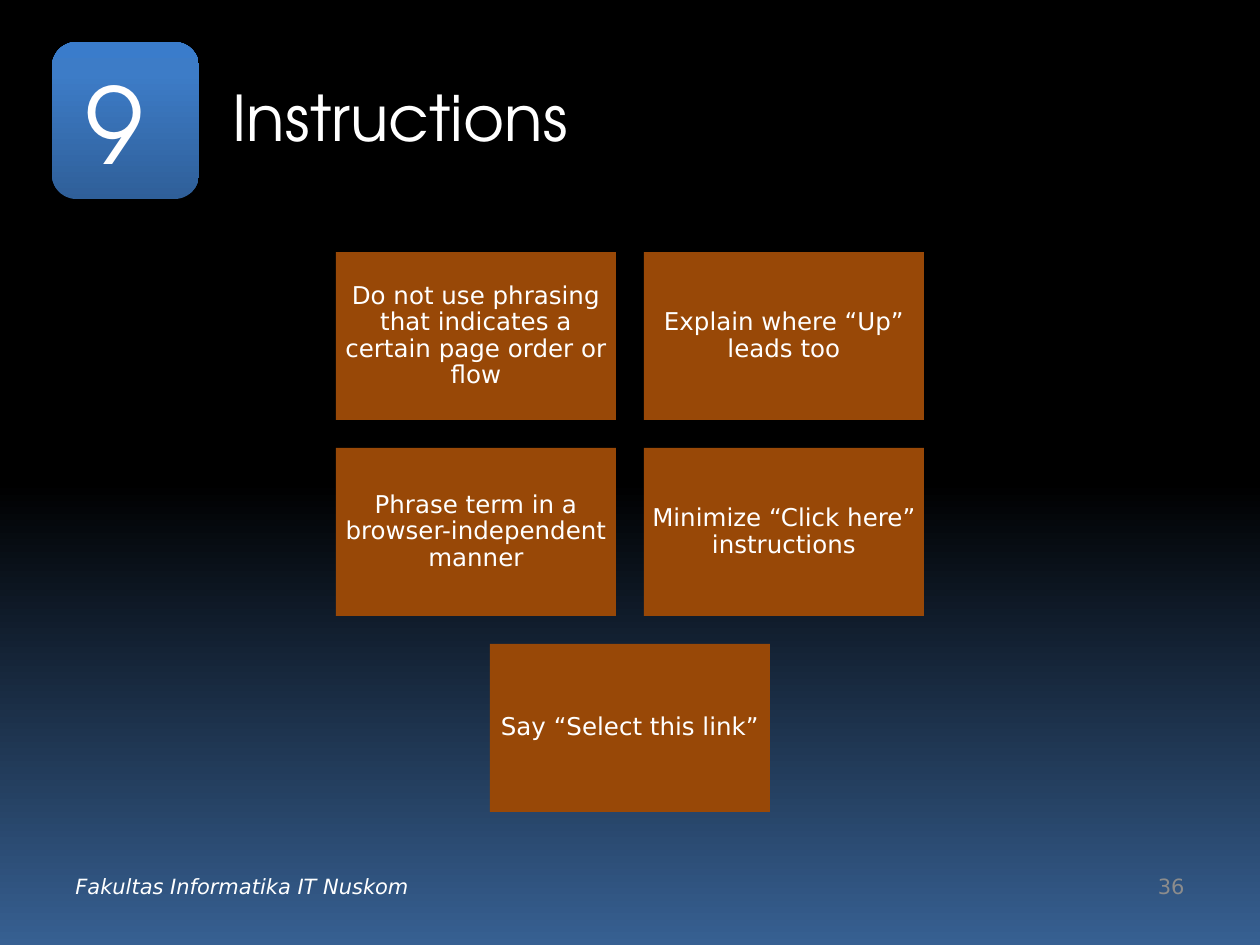
from dataclasses import dataclass

from lxml import etree
from pptx import Presentation
from pptx.dml.color import RGBColor
from pptx.enum.shapes import MSO_SHAPE
from pptx.enum.text import MSO_ANCHOR, MSO_AUTO_SIZE, PP_ALIGN
from pptx.oxml.ns import qn
from pptx.util import Emu, Pt

PX = 914400 // 126
HEADING_FONT, BODY_FONT = "TeX Gyre Adventor", "DejaVu Sans"
WHITE, GREY, BROWN = "FFFFFF", "8C8C8C", "984807"

CARD_ROWS = [
    ["Do not use phrasing that indicates a certain page order or flow",
     "Explain where “Up” leads too"],
    ["Phrase term in a browser-independent manner",
     "Minimize “Click here” instructions"],
    ["Say “Select this link”"],
]
CARD_W, CARD_H, CARD_GAP, CARD_INSET = 280, 168, 28, 8
CARDS_TOP, CENTER_X = 252, 630


@dataclass(frozen=True)
class Box:
    """A rectangle in pixels."""
    left: int
    top: int
    width: int
    height: int

    def emu(self) -> list[Emu]:
        """Return left, top, width and height in EMU."""
        return [Emu(v * PX) for v in (self.left, self.top, self.width, self.height)]


@dataclass(frozen=True)
class Style:
    """The look of one piece of text."""
    size: int
    font: str = BODY_FONT
    color: str = WHITE
    align: PP_ALIGN = PP_ALIGN.LEFT
    italic: bool = False
    anchor: MSO_ANCHOR = MSO_ANCHOR.MIDDLE
    wrap: bool = True


@dataclass(frozen=True)
class Label:
    """A text box with its place and style."""
    text: str
    box: Box
    style: Style


LABELS = [
    Label("Fakultas Informatika IT Nuskom", Box(63, 861, 399, 50), Style(12, italic=True)),
    Label("36", Box(903, 861, 294, 50), Style(12, color=GREY, align=PP_ALIGN.RIGHT)),
    Label("9", Box(73, 53, 88, 140),
          Style(60, HEADING_FONT, anchor=MSO_ANCHOR.TOP, wrap=False)),
]


def rgb(color: str) -> RGBColor:
    """Turn a hex string into a colour."""
    return RGBColor.from_string(color)


def write(shape, text: str, style: Style) -> None:
    """Put styled text into a shape."""
    frame = shape.text_frame
    frame.auto_size = MSO_AUTO_SIZE.NONE
    frame.word_wrap = style.wrap
    frame.vertical_anchor = style.anchor
    paragraph = frame.paragraphs[0]
    paragraph.alignment = style.align
    run = paragraph.add_run()
    run.text = text
    run.font.size = Pt(style.size)
    run.font.name = style.font
    run.font.italic = style.italic
    run.font.color.rgb = rgb(style.color)


def set_gradient(owner, fill, stops: list[tuple[int, str]], angle: int) -> None:
    """Give the fill of an owner a linear gradient of (percent, colour) stops."""
    fill.solid()
    solid = next(owner.element.iter(qn("a:solidFill")))
    gradient = etree.Element(qn("a:gradFill"), rotWithShape="1")
    stop_list = etree.SubElement(gradient, qn("a:gsLst"))
    for percent, color in stops:
        stop = etree.SubElement(stop_list, qn("a:gs"), pos=str(percent * 1000))
        etree.SubElement(stop, qn("a:srgbClr"), val=color)
    etree.SubElement(gradient, qn("a:lin"), ang=str(angle * 60000), scaled="0")
    solid.getparent().replace(solid, gradient)


def add_block(shapes, kind: MSO_SHAPE, box: Box):
    """Add a shape without line or shadow."""
    shape = shapes.add_shape(kind, *box.emu())
    shape.shadow.inherit = False
    shape.line.fill.background()
    return shape


def add_badge(slide) -> None:
    """Add the rounded blue badge with its soft shadow."""
    badge = add_block(slide.shapes, MSO_SHAPE.ROUNDED_RECTANGLE, Box(52, 42, 147, 157))
    set_gradient(badge, badge.fill, [(0, "2F5F99"), (80, "3D7CC7"), (100, "3A7CCB")], 270)
    effects = next(badge.element.iter(qn("a:effectLst")))
    shadow = etree.SubElement(effects, qn("a:outerShdw"), blurRad=str(Pt(3.1)),
                              dist=str(Pt(1.8)), dir="5400000", rotWithShape="0")
    color = etree.SubElement(shadow, qn("a:srgbClr"), val="000000")
    etree.SubElement(color, qn("a:alpha"), val="35000")


def add_cards(slide) -> None:
    """Add the rows of cards, each row centred on the slide."""
    group = slide.shapes.add_group_shape()
    style = Style(14, align=PP_ALIGN.CENTER)
    for row, texts in enumerate(CARD_ROWS):
        row_width = len(texts) * (CARD_W + CARD_GAP) - CARD_GAP
        for column, text in enumerate(texts):
            box = Box(CENTER_X - row_width // 2 + column * (CARD_W + CARD_GAP),
                      CARDS_TOP + row * (CARD_H + CARD_GAP), CARD_W, CARD_H)
            card = add_block(group.shapes, MSO_SHAPE.RECTANGLE, box)
            card.fill.solid()
            card.fill.fore_color.rgb = rgb(BROWN)
            write(card, text, style)
            frame = card.text_frame
            frame.margin_left = frame.margin_right = Emu(CARD_INSET * PX)
            frame.margin_top = frame.margin_bottom = Emu(CARD_INSET * PX)
            frame.paragraphs[0].line_spacing = 0.9


def build() -> None:
    """Build and save the slide."""
    deck = Presentation()
    deck.slide_width, deck.slide_height = Emu(1260 * PX), Emu(945 * PX)
    slide = deck.slides.add_slide(deck.slide_layouts[5])
    set_gradient(slide, slide.background.fill, [(51, "000000"), (100, "376092")], 90)
    title = slide.shapes.title
    title.left, title.top, title.width, title.height = Box(220, 38, 977, 157).emu()
    write(title, "Instructions", Style(36, HEADING_FONT))
    add_badge(slide)
    add_cards(slide)
    for label in LABELS:
        write(slide.shapes.add_textbox(*label.box.emu()), label.text, label.style)
    deck.save("out.pptx")


build()
